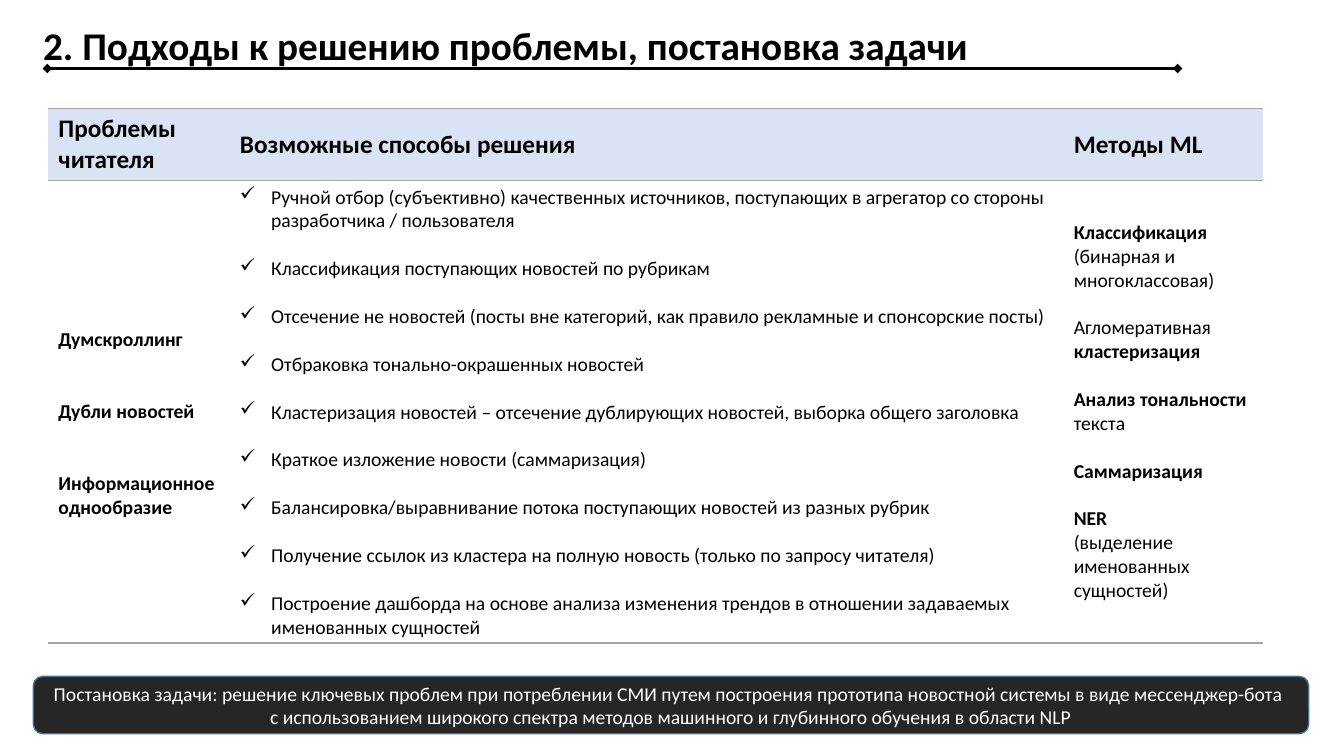
from dataclasses import dataclass

from lxml.etree import SubElement
from pptx import Presentation
from pptx.dml.color import RGBColor
from pptx.enum.shapes import MSO_CONNECTOR as Connector, MSO_SHAPE as Shape
from pptx.enum.text import MSO_ANCHOR as Anchor, PP_ALIGN as Align
from pptx.oxml import parse_xml
from pptx.oxml.ns import nsdecls, qn
from pptx.slide import Slide
from pptx.table import _Cell as Cell
from pptx.util import Inches, Pt

FONT = "Calibri"
BLACK, WHITE, GRAY = "000000", "FFFFFF", "A5A5A5"
HEADER_FILL, TASK_FILL, TASK_LINE = "DAE3F3", "262626", "43739E"
BLANK_LINE = 17.1
PLAIN_STYLE = "{2D5ABB26-0587-4C30-8999-92F81FD0307C}"


@dataclass(frozen=True)
class Entry:
    bold: str = ""
    plain: str = ""
    plain_first: bool = False
    gap: float = BLANK_LINE
    bullet: bool = False


@dataclass(frozen=True)
class Column:
    heading: str
    width: float
    entries: list[Entry]
    top_margin: float = 0.05


SOLUTIONS = [
    "Ручной отбор (субъективно) качественных источников, поступающих в агрегатор со стороны разработчика / пользователя",
    "Классификация поступающих новостей по рубрикам",
    "Отсечение не новостей (посты вне категорий, как правило рекламные и спонсорские посты)",
    "Отбраковка тонально-окрашенных новостей",
    "Кластеризация новостей – отсечение дублирующих новостей, выборка общего заголовка",
    "Краткое изложение новости (саммаризация)",
    "Балансировка/выравнивание потока поступающих новостей из разных рубрик",
    "Получение ссылок из кластера на полную новость (только по запросу читателя)",
    "Построение дашборда на основе анализа изменения трендов в отношении задаваемых именованных сущностей",
]
PROBLEMS = ["Думскроллинг", "Дубли новостей", "Информационное однообразие"]
METHODS = [
    Entry("Классификация", " (бинарная и многоклассовая)"),
    Entry("кластеризация", "Агломеративная ", plain_first=True),
    Entry("Анализ тональности ", "текста"),
    Entry("Саммаризация"),
    Entry("NER"),
    Entry(plain="(выделение именованных сущностей)", gap=0),
]
COLUMNS = [
    Column("Проблемы читателя", 1.8,
           [Entry(problem, gap=2 * BLANK_LINE) for problem in PROBLEMS], 0.29),
    Column("Возможные способы решения", 8.27,
           [Entry(plain=solution, bullet=True) for solution in SOLUTIONS]),
    Column("Методы ML", 1.98, METHODS),
]
TASK = [
    "Постановка задачи: решение ключевых проблем при потреблении СМИ путем построения прототипа новостной системы в виде мессенджер-бота ",
    "с использованием широкого спектра методов машинного и глубинного обучения в области NLP",
]


def color(value: str) -> RGBColor:
    return RGBColor.from_string(value)


def style_font(font, size: float, value: str = BLACK, bold: bool | None = None) -> None:
    font.name, font.size, font.bold = FONT, Pt(size), bold
    font.color.rgb = color(value)


def add_bullet(paragraph) -> None:
    properties = paragraph._p.get_or_add_pPr()
    properties.set("marL", str(Inches(0.31)))
    properties.set("indent", str(-Inches(0.31)))
    SubElement(properties, qn("a:buChar")).set("char", "✓")


def add_title(slide: Slide, text: str) -> None:
    title = slide.shapes.add_textbox(Inches(0.33), Inches(0.22), Inches(12.2), Inches(0.51))
    frame = title.text_frame
    frame.word_wrap = True
    frame.vertical_anchor = Anchor.MIDDLE
    paragraph = frame.paragraphs[0]
    paragraph.text = text
    paragraph.line_spacing = 0.9
    style_font(paragraph.font, 28, bold=True)


def add_title_rule(slide: Slide) -> None:
    rule = slide.shapes.add_connector(
        Connector.STRAIGHT, Inches(0.47), Inches(0.68), Inches(11.68), Inches(0.68))
    rule.line.color.rgb = color(BLACK)
    rule.line.width = Pt(2.25)
    outline = rule.line._get_or_add_ln()
    for end in ("a:headEnd", "a:tailEnd"):
        SubElement(outline, qn(end)).set("type", "diamond")
    SubElement(rule.element.spPr, qn("a:effectLst"))


def add_border(cell: Cell, side: str) -> None:
    border = parse_xml(
        f'<a:{side} {nsdecls("a")} w="{Pt(1)}"><a:solidFill>'
        f'<a:srgbClr val="{GRAY}"/></a:solidFill></a:{side}>')
    cell._tc.get_or_add_tcPr().insert(0, border)


def style_cell(cell: Cell, fill: str) -> None:
    cell.fill.solid()
    cell.fill.fore_color.rgb = color(fill)
    cell.vertical_anchor = Anchor.MIDDLE
    add_border(cell, "lnB")


def fill_heading(cell: Cell, heading: str) -> None:
    style_cell(cell, HEADER_FILL)
    add_border(cell, "lnT")
    paragraph = cell.text_frame.paragraphs[0]
    paragraph.text = heading
    style_font(paragraph.font, 18, bold=True)


def fill_body(cell: Cell, column: Column) -> None:
    style_cell(cell, WHITE)
    cell.margin_top = Inches(column.top_margin)
    frame = cell.text_frame
    for index, entry in enumerate(column.entries):
        paragraph = frame.add_paragraph() if index else frame.paragraphs[0]
        if entry.bullet:
            add_bullet(paragraph)
        paragraph.space_before = Pt(entry.gap if index else 0)
        parts = [(entry.bold, True), (entry.plain, False)]
        if entry.plain_first:
            parts.reverse()
        parts = [part for part in parts if part[0]]
        style_font(paragraph.font, 14, bold=parts[0][1] if len(parts) == 1 else None)
        for text, bold in parts:
            run = paragraph.add_run()
            run.text = text
            if len(parts) > 1:
                run.font.bold = bold


def add_approaches(slide: Slide) -> None:
    frame = slide.shapes.add_table(
        2, len(COLUMNS), Inches(0.48), Inches(1.08), Inches(12.05), Inches(5.3))
    table = frame.table
    frame.element.find(".//" + qn("a:tableStyleId")).text = PLAIN_STYLE
    table.horz_banding = False
    table.rows[0].height, table.rows[1].height = Inches(0.71), Inches(4.59)
    for index, column in enumerate(COLUMNS):
        table.columns[index].width = Inches(column.width)
        fill_heading(table.cell(0, index), column.heading)
        fill_body(table.cell(1, index), column)


def add_task(slide: Slide) -> None:
    task = slide.shapes.add_shape(
        Shape.ROUNDED_RECTANGLE, Inches(0.33), Inches(6.71), Inches(12.65), Inches(0.57))
    task.shadow.inherit = False
    task.fill.solid()
    task.fill.fore_color.rgb = color(TASK_FILL)
    task.line.color.rgb = color(TASK_LINE)
    task.line.width = Pt(1)
    frame = task.text_frame
    frame.word_wrap = True
    frame.vertical_anchor = Anchor.MIDDLE
    for index, text in enumerate(TASK):
        paragraph = frame.add_paragraph() if index else frame.paragraphs[0]
        paragraph.text = text
        paragraph.alignment = Align.CENTER
        style_font(paragraph.font, 14, WHITE)


def main() -> None:
    deck = Presentation()
    deck.slide_width, deck.slide_height = Inches(13.33), Inches(7.5)
    slide = deck.slides.add_slide(deck.slide_layouts[6])
    add_title(slide, "2. Подходы к решению проблемы, постановка задачи")
    add_approaches(slide)
    add_task(slide)
    add_title_rule(slide)
    deck.save("out.pptx")


if __name__ == "__main__":
    main()
